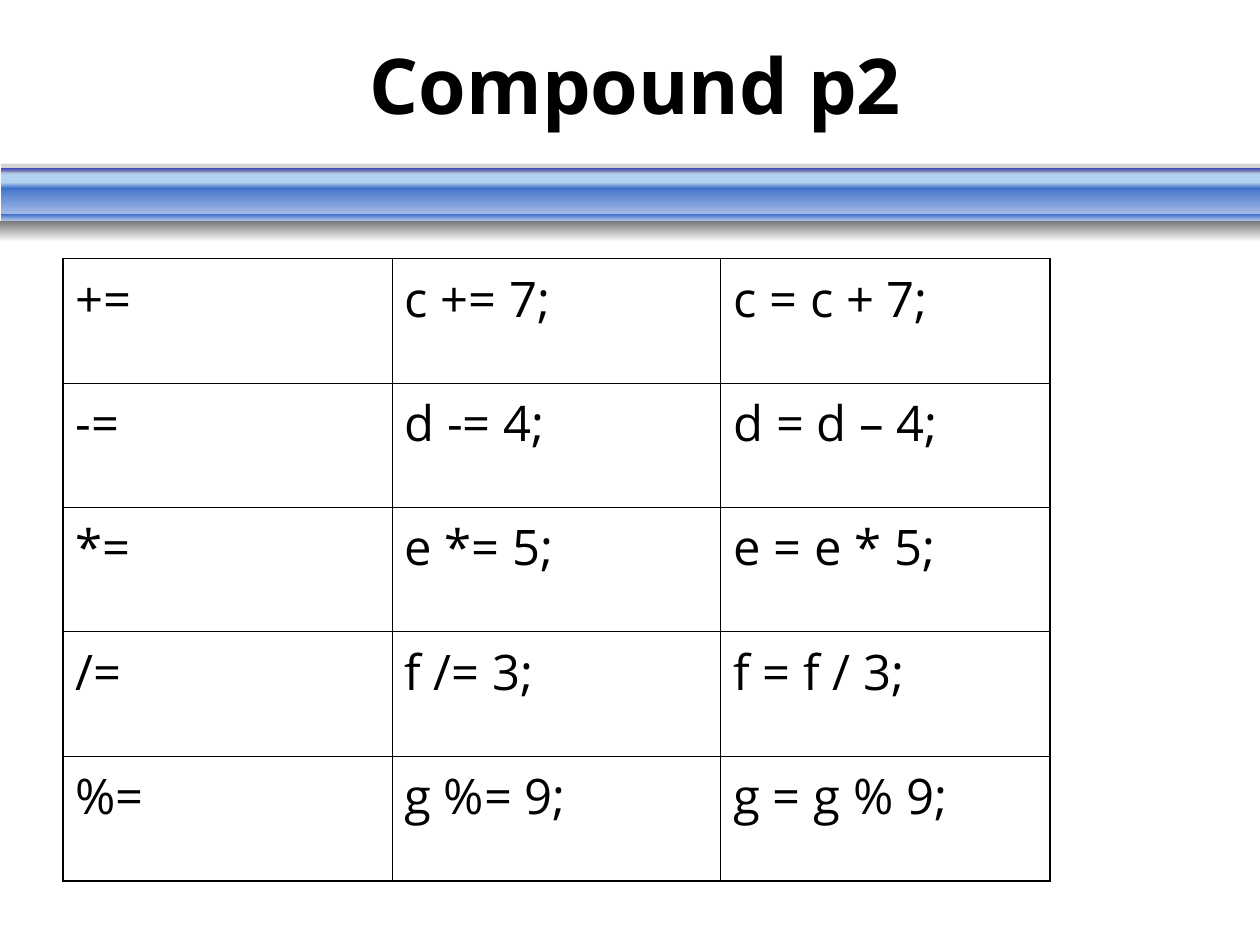
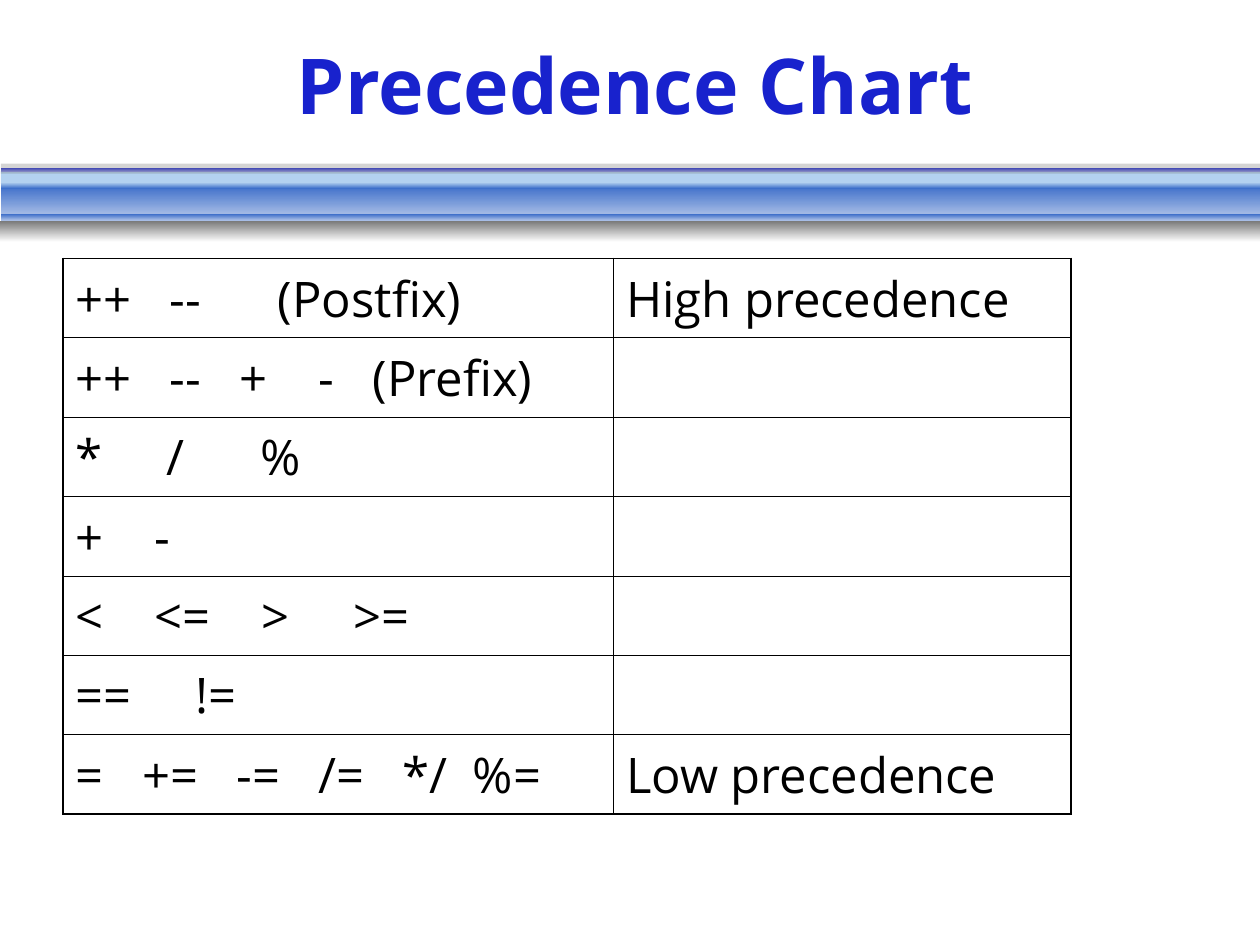
from dataclasses import dataclass

import pptx
import pptx.dml.color
import pptx.enum.shapes
import pptx.enum.text
import pptx.oxml.ns
import pptx.oxml.xmlchemy
import pptx.util
from pptx.util import Cm, Pt


@dataclass(frozen=True)
class Theme:
    font: str = "Open Sans"
    title_size: float = 44
    cell_size: float = 28
    cell_space_before: float = 7
    outer_line: float = 1.08
    inner_line: float = 0.45
    black: str = "000000"
    royal: str = "1822CD"
    lavender: str = "868CE4"
    blue: str = "3568C7"
    mist: str = "A7BDE6"
    sky: str = "B3D1F0"
    grey: str = "777777"
    paper: str = "FEFEFE"


THEME = Theme()


@dataclass(frozen=True)
class Band:
    top: float
    height: float
    colours: tuple[str, ...]
    left: float = 0.02
    opacity: int = 100


@dataclass(frozen=True)
class Entry:
    text: str
    tab_stops: tuple[float, ...] = ()


@dataclass(frozen=True)
class OperatorSlide:
    title: str
    title_colour: str
    column_widths: tuple[float, ...]
    row_height: float
    rows: tuple[tuple[Entry, ...], ...]


BANDS = (
    Band(3.45, 0.26, (THEME.sky,)),
    Band(3.7, 0.64, (THEME.blue, THEME.mist)),
    Band(3.38, 0.08, (THEME.royal, THEME.lavender)),
    Band(4.31, 0.13, (THEME.blue, THEME.mist)),
    Band(3.68, 0.13, (THEME.sky, THEME.blue)),
    Band(4.45, 0.43, (THEME.grey, THEME.paper), left=0),
    Band(3.3, 0.2, (THEME.grey,), opacity=31),
)

COMPOUND = OperatorSlide(
    "Compound p2", THEME.black, (6.63, 6.63, 6.63), 2.51,
    tuple(
        (Entry(f"{sign}="), Entry(f"{name} {sign}= {value};"),
         Entry(f"{name} = {name} {'–' if sign == '-' else sign} {value};"))
        for name, sign, value in (("c", "+", 7), ("d", "-", 4), ("e", "*", 5),
                                  ("f", "/", 3), ("g", "%", 9))
    ),
)

PRECEDENCE = OperatorSlide(
    "Precedence Chart", THEME.royal, (11.1, 9.22), 1.6,
    (
        (Entry("++\t--\t(Postfix)", (1.9, 4.08)), Entry("High precedence")),
        (Entry("++\t--\t+\t-\t(Prefix)", (1.9, 3.31, 4.9, 5.99)), Entry("")),
        (Entry("*\t/\t%", (1.83, 3.73)), Entry("")),
        (Entry("+\t-", (1.59,)), Entry("")),
        (Entry("<\t<=\t>\t>=", (1.59, 3.75, 5.6)), Entry("")),
        (Entry("==\t!=", (2.41,)), Entry("")),
        (Entry("=\t+=\t-=\t/=\t*/\t%=", (1.34, 3.24, 4.89, 6.59, 8.01)),
         Entry("Low precedence")),
    ),
)


def rgb(colour: str) -> pptx.dml.color.RGBColor:
    return pptx.dml.color.RGBColor.from_string(colour)


def add_child(parent, tag: str, **attributes):
    child = pptx.oxml.xmlchemy.OxmlElement(tag)
    for key, value in attributes.items():
        child.set(key, str(value))
    parent.append(child)
    return child


def add_run(paragraph, text: str, size: float, colour: str, bold: bool = False) -> None:
    run = paragraph.add_run()
    run.text = text
    run.font.name = THEME.font
    run.font.size = Pt(size)
    run.font.bold = bold
    run.font.color.rgb = rgb(colour)


def draw_band(slide, band: Band) -> None:
    stripe = slide.shapes.add_shape(
        pptx.enum.shapes.MSO_SHAPE.RECTANGLE,
        Cm(band.left), Cm(band.top), Cm(25.4 - band.left), Cm(band.height))
    stripe.shadow.inherit = False
    stripe.line.fill.background()
    if len(band.colours) > 1:
        stripe.fill.gradient()
        stripe.fill.gradient_angle = 270
        for stop, colour in zip(stripe.fill.gradient_stops, band.colours):
            stop.color.rgb = rgb(colour)
        return
    stripe.fill.solid()
    stripe.fill.fore_color.rgb = rgb(band.colours[0])
    if band.opacity < 100:
        colour_node = stripe._element.spPr.find(".//" + pptx.oxml.ns.qn("a:srgbClr"))
        add_child(colour_node, "a:alpha", val=band.opacity * 1000)


def draw_title(slide, text: str, colour: str) -> None:
    heading = slide.shapes.add_textbox(Cm(0.43), Cm(0.2), Cm(24.77), Cm(2.97))
    frame = heading.text_frame
    frame.word_wrap = True
    frame.vertical_anchor = pptx.enum.text.MSO_ANCHOR.MIDDLE
    paragraph = frame.paragraphs[0]
    paragraph.alignment = pptx.enum.text.PP_ALIGN.CENTER
    add_run(paragraph, text, THEME.title_size, colour, bold=True)


def set_borders(cell, outer_sides: dict[str, bool]) -> None:
    properties = cell._tc.get_or_add_tcPr()
    for position, (side, is_outer) in enumerate(outer_sides.items()):
        width = THEME.outer_line if is_outer else THEME.inner_line
        border = pptx.oxml.xmlchemy.OxmlElement(f"a:ln{side}")
        border.set("w", str(int(Pt(width))))
        add_child(add_child(border, "a:solidFill"), "a:srgbClr", val=THEME.black)
        properties.insert(position, border)


def fill_cell(cell, entry: Entry) -> None:
    cell.fill.background()
    paragraph = cell.text_frame.paragraphs[0]
    paragraph.space_before = Pt(THEME.cell_space_before)
    if entry.tab_stops:
        stops = add_child(paragraph._p.get_or_add_pPr(), "a:tabLst")
        for stop in entry.tab_stops:
            add_child(stops, "a:tab", pos=int(Cm(stop)), algn="l")
    if entry.text:
        add_run(paragraph, entry.text, THEME.cell_size, THEME.black)


def draw_table(slide, content: OperatorSlide) -> None:
    row_count, column_count = len(content.rows), len(content.column_widths)
    operators = slide.shapes.add_table(
        row_count, column_count, Cm(1.27), Cm(5.21),
        Cm(sum(content.column_widths)), Cm(content.row_height * row_count)).table
    operators.first_row = False
    operators.horz_banding = False
    for column, width in zip(operators.columns, content.column_widths):
        column.width = Cm(width)
    for row_index, entries in enumerate(content.rows):
        operators.rows[row_index].height = Cm(content.row_height)
        for column_index, entry in enumerate(entries):
            cell = operators.cell(row_index, column_index)
            fill_cell(cell, entry)
            set_borders(cell, {
                "L": column_index == 0,
                "R": column_index == column_count - 1,
                "T": row_index == 0,
                "B": row_index == row_count - 1,
            })


def main() -> None:
    deck = pptx.Presentation()
    deck.slide_width, deck.slide_height = Cm(25.4), Cm(19.05)
    for content in (COMPOUND, PRECEDENCE):
        slide = deck.slides.add_slide(deck.slide_layouts[6])
        for band in BANDS:
            draw_band(slide, band)
        draw_title(slide, content.title, content.title_colour)
        draw_table(slide, content)
    deck.save("out.pptx")


if __name__ == "__main__":
    main()
